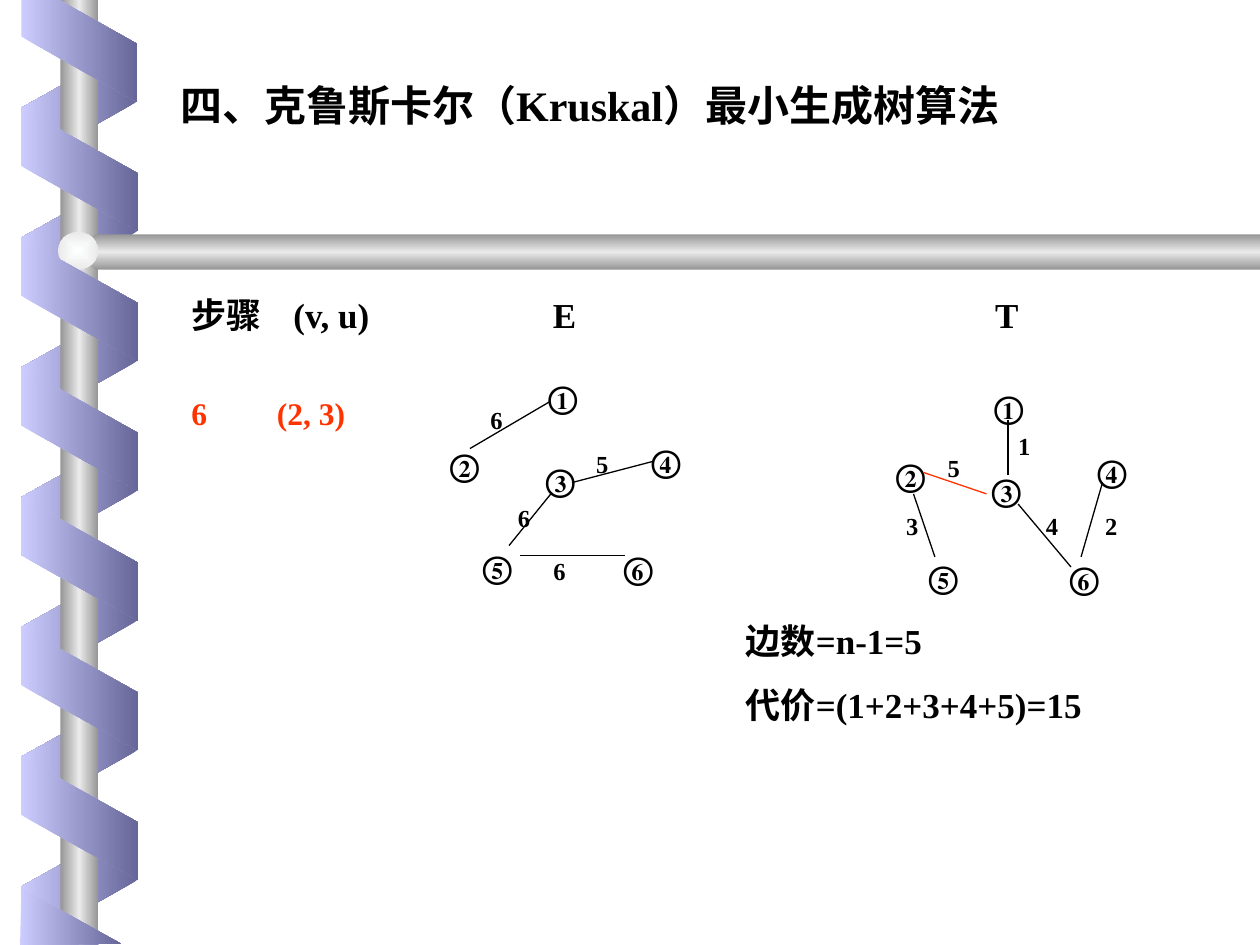
from dataclasses import dataclass

from lxml.etree import SubElement
from pptx import Presentation
from pptx.dml.color import RGBColor
from pptx.enum.shapes import MSO_CONNECTOR, MSO_SHAPE as Preset
from pptx.enum.text import MSO_ANCHOR as Anchor, MSO_AUTO_SIZE as AutoSize, PP_ALIGN as Align
from pptx.oxml import parse_xml
from pptx.oxml.ns import nsdecls, qn
from pptx.util import Inches, Pt

BLACK = RGBColor(0x00, 0x00, 0x00)
ORANGE = RGBColor(0xFF, 0x33, 0x00)
LILAC = RGBColor(0xCC, 0xCC, 0xFF)
INDIGO = RGBColor(0x66, 0x66, 0x99)
STEEL = RGBColor(0x96, 0x96, 0x96)
SILVER = RGBColor(0xEA, 0xEA, 0xEA)
PEARL = RGBColor(0xFE, 0xFF, 0xFF)
FONT = "Times New Roman"
METAL = (STEEL, SILVER, STEEL)
RIBBON = (LILAC, INDIGO)
RIBBON_PITCH = 1.03
NODE_SPOTS = (
    ("①", 4.35, 3.0), ("②", 3.57, 3.54), ("③", 4.33, 3.66),
    ("④", 5.17, 3.51), ("⑤", 3.83, 4.35), ("⑥", 4.95, 4.36),
)


@dataclass(frozen=True)
class Edge:
    weight: str
    label: tuple[float, float]
    start: tuple[float, float]
    end: tuple[float, float]
    color: RGBColor = BLACK


@dataclass(frozen=True)
class Graph:
    shift: tuple[float, float]
    edges: tuple[Edge, ...]


REMAINING = Graph((0, 0), (
    Edge("6", (3.79, 3.16), (3.73, 3.56), (4.36, 3.19)),
    Edge("5", (4.63, 3.51), (4.54, 3.83), (5.19, 3.66)),
    Edge("6", (4.01, 3.94), (4.38, 3.91), (4.04, 4.33)),
    Edge("6", (4.29, 4.36), (4.13, 4.41), (4.96, 4.41)),
))
TREE = Graph((3.54, 0.08), (
    Edge("1", (7.98, 3.37), (8, 3.33), (8, 3.77)),
    Edge("2", (8.67, 4), (8.75, 3.83), (8.58, 4.42)),
    Edge("3", (7.09, 4), (7.25, 3.92), (7.42, 4.42)),
    Edge("4", (8.2, 4), (8.08, 4), (8.5, 4.5)),
    Edge("5", (7.42, 3.54), (7.33, 3.75), (7.83, 3.92), ORANGE),
))


def paint(shape, colors: tuple[RGBColor, ...], angle: int | None = 0) -> None:
    step = 100000 // (len(colors) - 1)
    stops = "".join(
        f'<a:gs pos="{i * step}"><a:srgbClr val="{color}"/></a:gs>'
        for i, color in enumerate(colors)
    )
    if angle is None:
        direction = ('<a:path path="rect"><a:fillToRect l="50000" t="50000" '
                     'r="50000" b="50000"/></a:path>')
    else:
        direction = f'<a:lin ang="{angle * 60000}" scaled="1"/>'
    gradient = parse_xml(
        f'<a:gradFill {nsdecls("a")} rotWithShape="0">'
        f"<a:gsLst>{stops}</a:gsLst>{direction}</a:gradFill>"
    )
    shape.fill.background()
    properties = shape.element.spPr
    properties.replace(properties.find(qn("a:noFill")), gradient)
    shape.line.fill.background()
    shape.shadow.inherit = False


def add_preset(slide, preset, left: float, top: float, width: float, height: float):
    return slide.shapes.add_shape(
        preset, Inches(left), Inches(top), Inches(width), Inches(height))


def add_band(slide, top: float, front: bool) -> None:
    band = add_preset(slide, Preset.PARALLELOGRAM, 0.14, top, 0.98, 0.93 if front else 0.92)
    band.adjustments[0] = 0.56
    band.rotation = 270 if front else 90
    if not front:
        band.element.spPr.xfrm.set("flipH", "1")
    paint(band, RIBBON if front else RIBBON[::-1])


def add_outline(slide, points: list[tuple[float, float]], colors, angle: int = 0) -> None:
    first, *rest = [(Inches(x), Inches(y)) for x, y in points]
    builder = slide.shapes.build_freeform(*first)
    builder.add_line_segments(rest, close=True)
    paint(builder.convert_to_shape(), colors, angle)


def format_text(frame, size: int, color: RGBColor = BLACK, align=Align.LEFT,
                tabs: tuple[float, ...] = ()) -> None:
    for paragraph in frame.paragraphs:
        paragraph.alignment = align
        if tabs:
            tab_list = SubElement(paragraph._p.get_or_add_pPr(), qn("a:tabLst"))
            for stop in tabs:
                SubElement(tab_list, qn("a:tab"), pos=str(Inches(stop)), algn="l")
        for run in paragraph.runs:
            run.font.name = FONT
            run.font.size = Pt(size)
            run.font.bold = True
            run.font.color.rgb = color


def add_text(slide, text: str, left: float, top: float, width: float, height: float,
             size: int, inset: bool = True, wrap: bool = True, anchor=Anchor.MIDDLE, **style):
    frame = slide.shapes.add_textbox(
        Inches(left), Inches(top), Inches(width), Inches(height)).text_frame
    frame.word_wrap = wrap
    frame.vertical_anchor = anchor
    if not inset:
        frame.margin_left = frame.margin_right = frame.margin_top = frame.margin_bottom = 0
    frame.text = text
    format_text(frame, size, **style)
    return frame


def add_edge(slide, edge: Edge) -> None:
    line = slide.shapes.add_connector(
        MSO_CONNECTOR.STRAIGHT, *(Inches(value) for value in edge.start + edge.end))
    line.line.color.rgb = edge.color
    line.line.width = Pt(0.75)
    SubElement(line.element.spPr, qn("a:effectLst"))
    add_text(slide, edge.weight, *edge.label, 0.3, 0.34, 14, wrap=False, align=Align.CENTER)


def add_graph(slide, graph: Graph) -> None:
    dx, dy = graph.shift
    for label, x, y in NODE_SPOTS:
        add_text(slide, label, x + dx, y + dy, 0.26, 0.3, 18,
                 inset=False, wrap=False, anchor=Anchor.TOP)
    for edge in graph.edges:
        add_edge(slide, edge)


def add_binding(slide) -> None:
    for i in range(7):
        add_band(slide, 0.37 + RIBBON_PITCH * i, front=False)
    paint(add_preset(slide, Preset.RECTANGLE, 0.48, 0, 0.3, 7.5), METAL)
    add_outline(slide, [(10, 1.86), (0.76, 1.86), (0.6, 2), (0.76, 2.14), (10, 2.14)], METAL, 90)
    paint(add_preset(slide, Preset.OVAL, 0.46, 1.84, 0.32, 0.3), (PEARL, SILVER), None)
    for i in range(6):
        add_band(slide, 0.88 + RIBBON_PITCH * i, front=True)
    add_outline(slide, [(0.17, 0), (0.17, 0.29), (1.09, 0.81), (1.09, 0.35), (0.47, 0)], RIBBON)
    add_outline(slide, [(0.96, 7.49), (0.17, 7.05), (0.16, 7.5)], RIBBON)


def add_title(slide) -> None:
    title = slide.shapes.title
    title.left, title.top, title.width, title.height = map(Inches, (1.33, 0.58, 6.75, 0.9))
    frame = title.text_frame
    frame.text = "四、克鲁斯卡尔（Kruskal）最小生成树算法"
    frame.word_wrap = True
    frame.auto_size = AutoSize.NONE
    frame.vertical_anchor = Anchor.TOP
    format_text(frame, 24)


def main() -> None:
    deck = Presentation()
    deck.slide_width, deck.slide_height = Inches(10), Inches(7.5)
    slide = deck.slides.add_slide(deck.slide_layouts[5])
    add_binding(slide)
    add_title(slide)
    add_text(slide, "步骤\t(v, u)\tE\tT", 1.42, 2.28, 8.08, 0.44, 20, tabs=(0.81, 2.87, 6.38))
    add_text(slide, "6\t(2, 3)", 1.42, 3.08, 1.47, 0.4, 18, color=ORANGE, tabs=(0.68,))
    for graph in (REMAINING, TREE):
        add_graph(slide, graph)
    totals = add_text(slide, "边数=n-1=5\n代价=(1+2+3+4+5)=15", 5.82, 4.87, 3.43, 0.94, 20)
    totals.paragraphs[1].space_before = Pt(12.5)
    deck.save("out.pptx")


if __name__ == "__main__":
    main()
